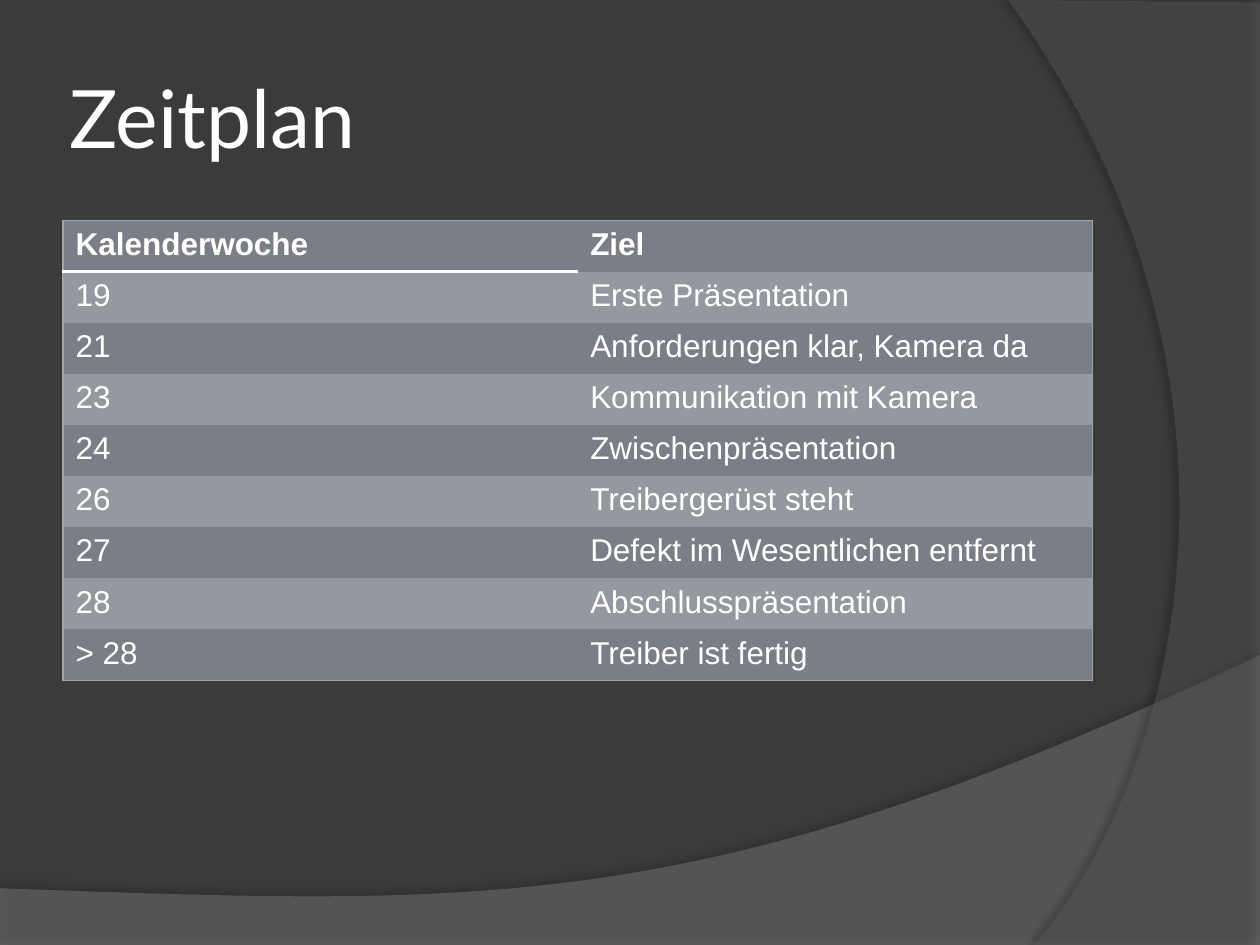
from lxml.etree import SubElement
from pptx import Presentation
from pptx.dml.color import RGBColor
from pptx.enum.text import MSO_ANCHOR, PP_ALIGN
from pptx.oxml.ns import qn
from pptx.util import Inches, Pt

TITLE = "Zeitplan"
ROWS = [
    ("Kalenderwoche", "Ziel"),
    ("19", "Erste Präsentation"),
    ("21", "Anforderungen klar, Kamera da"),
    ("23", "Kommunikation mit Kamera"),
    ("24", "Zwischenpräsentation"),
    ("26", "Treibergerüst steht"),
    ("27", "Defekt im Wesentlichen entfernt"),
    ("28", "Abschlusspräsentation"),
    ("> 28", "Treiber ist fertig"),
]
WAVES = [
    {"curve": [(10, 5.2), (5.59, 7.29), (3.91, 7.19), (0, 7.05)],
     "corners": [(0, 7.5), (10, 7.5)], "color": "7F7F7F", "opacity": 45,
     "shadow": {"opacity": 35, "blur": 4, "distance": 3.5, "angle": 270}},
    {"curve": [(8.21, 7.5), (9.35, 6.19), (10.18, 3), (8, 0)],
     "corners": [(10, 0.02), (10, 7.5)], "color": "5E5E5E", "opacity": 40,
     "shadow": {"opacity": 45, "blur": 4, "distance": 4, "angle": 180}},
]
BACKGROUND, WHITE, BORDER = "3B3B3B", "FFFFFF", "A0A5AA"
BANDS = ("7B7E86", "95989E")
NO_STYLE = "{2D5ABB26-0587-4C30-8999-92F81FD0307C}"
LEFT, WIDTH = 0.5, 8.17
TABLE_TOP, TABLE_HEIGHT = 1.75, 3.65
CURVE_STEPS = 60


def set_fill(fill, color):
    fill.solid()
    fill.fore_color.rgb = RGBColor.from_string(color)


def add_color(parent, color, opacity=100):
    element = SubElement(parent, qn("a:srgbClr"), val=color)
    if opacity < 100:
        SubElement(element, qn("a:alpha"), val=str(opacity * 1000))


def write_text(frame, text, font="Arial", size=18, color=WHITE, bold=False):
    paragraph = frame.paragraphs[0]
    paragraph.alignment = PP_ALIGN.LEFT
    run = paragraph.add_run()
    run.text = text
    run.font.name = font
    run.font.size = Pt(size)
    run.font.bold = bold
    run.font.color.rgb = RGBColor.from_string(color)


def bezier_points(curve):
    for step in range(CURVE_STEPS + 1):
        t = step / CURVE_STEPS
        weights = ((1 - t) ** 3, 3 * t * (1 - t) ** 2, 3 * t * t * (1 - t), t ** 3)
        yield tuple(sum(w * point[axis] for w, point in zip(weights, curve))
                    for axis in (0, 1))


def add_wave(slide, curve, corners, color, opacity, shadow):
    points = [(Inches(x), Inches(y)) for x, y in [*bezier_points(curve), *corners]]
    builder = slide.shapes.build_freeform(*points[0])
    builder.add_line_segments(points[1:], close=True)
    shape = builder.convert_to_shape()
    set_fill(shape.fill, color)
    shape.line.fill.background()
    shape.shadow.inherit = False
    properties = shape._element.spPr
    fill_color = properties.find(qn("a:solidFill"))[0]
    SubElement(fill_color, qn("a:alpha"), val=str(opacity * 1000))
    outer = SubElement(properties.find(qn("a:effectLst")), qn("a:outerShdw"),
                       blurRad=str(Pt(shadow["blur"])), dist=str(Pt(shadow["distance"])),
                       dir=str(shadow["angle"] * 60000), rotWithShape="0")
    add_color(outer, "000000", shadow["opacity"])


def add_title(slide):
    title = slide.shapes.title
    title.left, title.top = Inches(LEFT), Inches(0.3)
    title.width, title.height = Inches(WIDTH), Inches(1.25)
    frame = title.text_frame
    frame.vertical_anchor = MSO_ANCHOR.MIDDLE
    frame.margin_left = frame.margin_right = Inches(0.05)
    frame.margin_top = frame.margin_bottom = Inches(0.05)
    write_text(frame, TITLE, font="Lato", size=46)
    slide.shapes._spTree.append(title._element)


def set_border(cell, side, color, width):
    line = SubElement(cell._tc.get_or_add_tcPr(), qn(f"a:ln{side}"), w=str(Pt(width)))
    add_color(SubElement(line, qn("a:solidFill")), color)


def add_schedule(slide):
    columns, last = len(ROWS[0]), len(ROWS) - 1
    table = slide.shapes.add_table(len(ROWS), columns, Inches(LEFT), Inches(TABLE_TOP),
                                   Inches(WIDTH), Inches(TABLE_HEIGHT)).table
    table._tbl.tblPr.find(qn("a:tableStyleId")).text = NO_STYLE
    for row, texts in enumerate(ROWS):
        for column, text in enumerate(texts):
            cell = table.cell(row, column)
            write_text(cell.text_frame, text, bold=row == 0)
            if column == 0:
                set_border(cell, "L", BORDER, 0.75)
            if column == columns - 1:
                set_border(cell, "R", BORDER, 0.75)
            if row == 0:
                set_border(cell, "T", BORDER, 0.75)
            if row == 0 and column == 0:
                set_border(cell, "B", WHITE, 1.5)
            if row == last:
                set_border(cell, "B", BORDER, 0.75)
            set_fill(cell.fill, BANDS[row % 2])


def main():
    presentation = Presentation()
    presentation.slide_width, presentation.slide_height = Inches(10), Inches(7.5)
    slide = presentation.slides.add_slide(presentation.slide_layouts[5])
    set_fill(slide.background.fill, BACKGROUND)
    for wave in WAVES:
        add_wave(slide, **wave)
    add_title(slide)
    add_schedule(slide)
    presentation.save("out.pptx")


if __name__ == "__main__":
    main()
